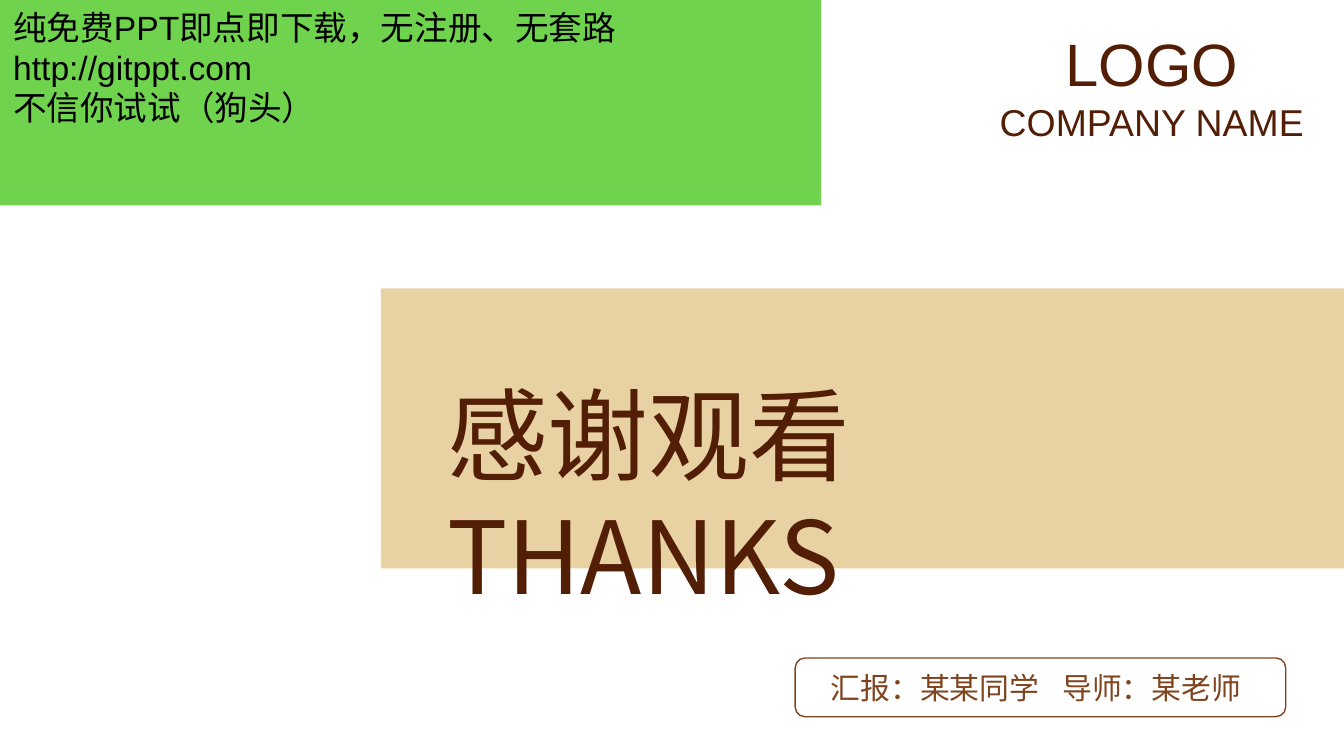
"""Build a closing thank-you slide with a banner, company block and presenter line."""
from pptx import Presentation
from pptx import util as u
from pptx.dml import color
from pptx.enum import shapes, text
from pptx.oxml import ns
from lxml import etree

COLORS = {
    "green": "70D34D",
    "sand": "E8D2A3",
    "dark": "531E06",
    "brown": "7F431E",
    "black": "000000",
}
LATIN = "Arial"
TITLE_FONT = "Noto Sans CJK JP"
BODY_FONT = "Noto Sans CJK SC"


def rgb(name):
    return color.RGBColor.from_string(COLORS[name])


def add_tab_stop(paragraph, position):
    properties = paragraph._p.get_or_add_pPr()
    tabs = etree.SubElement(properties, ns.qn("a:tabLst"))
    etree.SubElement(tabs, ns.qn("a:tab"), pos=str(u.Pt(position)), algn="l")


def write_lines(shape, lines, font_name, font_color, align=text.PP_ALIGN.LEFT,
                tab_stop=None, right_inset=7.2):
    frame = shape.text_frame
    frame_format = {
        "word_wrap": True,
        "vertical_anchor": text.MSO_ANCHOR.TOP,
        "margin_left": u.Pt(7.2),
        "margin_right": u.Pt(right_inset),
        "margin_top": u.Pt(3.6),
        "margin_bottom": u.Pt(3.6),
    }
    for key, value in frame_format.items():
        setattr(frame, key, value)
    for index, (line, size) in enumerate(lines):
        paragraph = frame.add_paragraph() if index else frame.paragraphs[0]
        paragraph.alignment = align
        if tab_stop:
            add_tab_stop(paragraph, tab_stop)
        run = paragraph.add_run()
        run.text = line
        for key, value in {"size": u.Pt(size), "name": font_name}.items():
            setattr(run.font, key, value)
        run.font.color.rgb = rgb(font_color)
        etree.SubElement(run._r.get_or_add_rPr(), ns.qn("a:ea"), typeface=font_name)


def add_text(slide, box, lines, font_name, font_color, **options):
    shape = slide.shapes.add_textbox(*map(u.Pt, box))
    write_lines(shape, lines, font_name, font_color, **options)


def add_block(slide, box, kind=shapes.MSO_SHAPE.RECTANGLE, fill=None, line=None):
    shape = slide.shapes.add_shape(kind, *map(u.Pt, box))
    shape.shadow.inherit = False
    if fill:
        shape.fill.solid()
        shape.fill.fore_color.rgb = rgb(fill)
    else:
        shape.fill.background()
    if line:
        shape.line.color.rgb = rgb(line)
        shape.line.width = u.Pt(0.75)
    else:
        shape.line.fill.background()
    return shape


def main():
    presentation = Presentation()
    presentation.slide_width = u.Pt(720)
    presentation.slide_height = u.Pt(405)
    slide = presentation.slides.add_slide(presentation.slide_layouts[6])

    add_text(slide, (438, 355.5, 240, 26.6), [("汇报：某某同学\t导师：某老师", 16)],
             BODY_FONT, "brown", tab_stop=124)
    add_block(slide, (426, 352.5, 262.8, 31.5),
              shapes.MSO_SHAPE.ROUNDED_RECTANGLE, line="brown")
    add_block(slide, (204, 154.5, 516, 150), fill="sand")
    add_text(slide, (232.5, 196, 463.7, 72), [("感谢观看 THANKS", 54)],
             TITLE_FONT, "dark", right_inset=100)
    add_text(slide, (527.5, 11, 179, 70), [("LOGO", 32), ("COMPANY NAME", 20)],
             LATIN, "dark", align=text.PP_ALIGN.CENTER)
    banner = add_block(slide, (0, 0, 440, 110), fill="green")
    banner_lines = ("纯免费PPT即点即下载，无注册、无套路", "http://gitppt.com", "不信你试试（狗头）")
    write_lines(banner, [(line, 18) for line in banner_lines], LATIN, "black")

    presentation.save("out.pptx")


if __name__ == "__main__":
    main()
